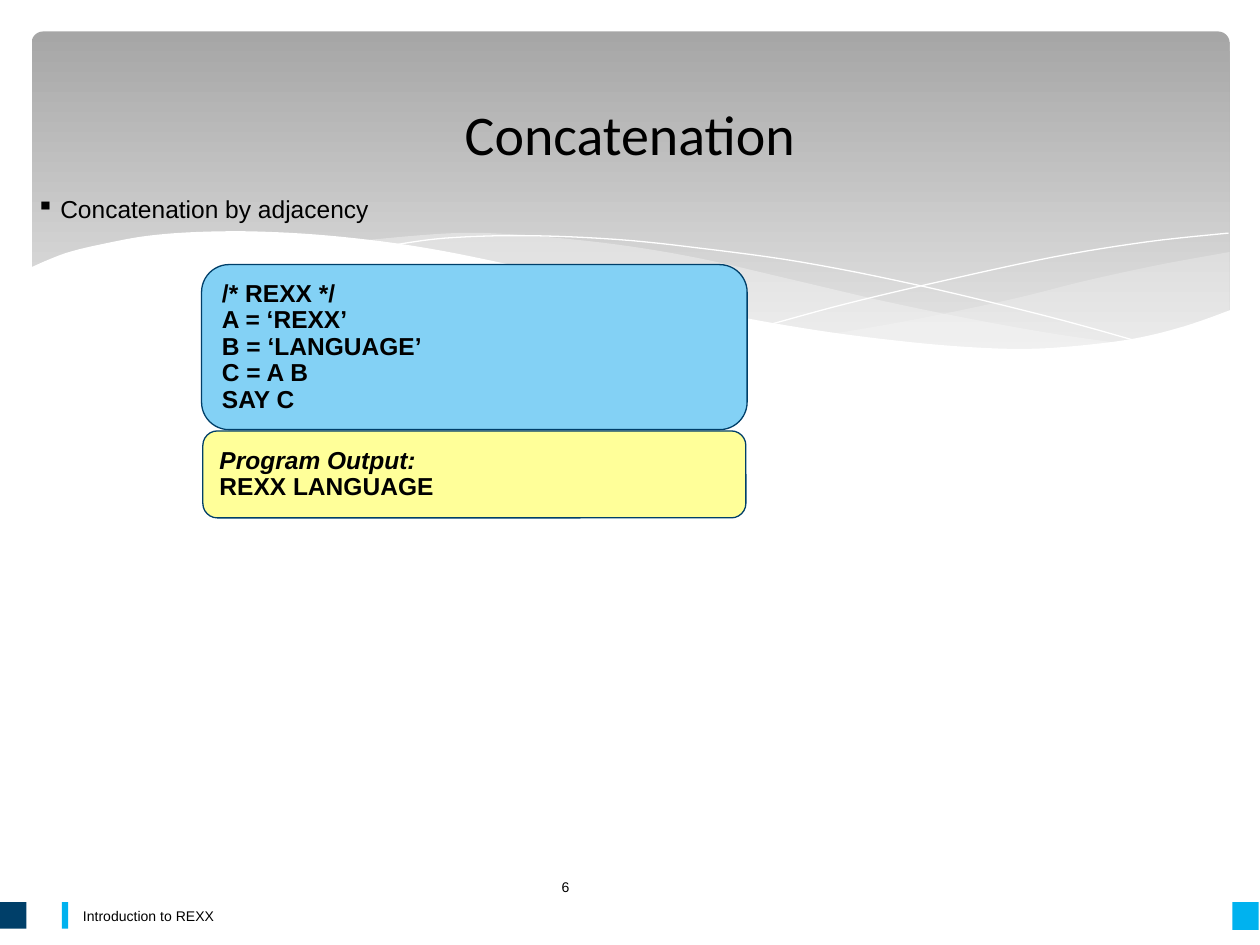
import lxml.etree
import pptx
import pptx.dml.color
import pptx.enum.shapes
import pptx.enum.text
import pptx.oxml.ns
import pptx.util

Inches = pptx.util.Inches
Pt = pptx.util.Pt
RGB = pptx.dml.color.RGBColor.from_string
SHAPE = pptx.enum.shapes.MSO_SHAPE
ANCHOR = pptx.enum.text.MSO_ANCHOR
ALIGN = pptx.enum.text.PP_ALIGN
qn = pptx.oxml.ns.qn

THEME = {
    "text": "000000", "white": "FFFFFF", "mist": "F8F8F8",
    "banner_top": "A6A6A6", "banner_bottom": "EBEBEB",
    "navy": "003F69", "cyan": "00B2EF", "code": "83D1F5", "output": "FFFF99",
    "title_font": "Calibri", "body_font": "Arial",
    "title_size": 32, "body_size": 14, "footer_size": 8,
}


def smooth(points, steps=6):
    """Return points along a Catmull-Rom curve through the given points."""
    padded = [points[0], *points, points[-1]]
    curve = [points[0]]
    for a, b, c, d in zip(padded, padded[1:], padded[2:], padded[3:]):
        for i in range(1, steps + 1):
            t = i / steps
            curve.append(tuple(
                (2 * q + (r - p) * t + (2 * p - 5 * q + 4 * r - w) * t ** 2
                 + (3 * q - p - 3 * r + w) * t ** 3) / 2
                for p, q, r, w in zip(a, b, c, d)))
    return curve


def write(sp, lines, size, font="body_font", anchor=ANCHOR.MIDDLE, **paragraph_format):
    """Fill a shape with (text, font format) lines."""
    tf = sp.text_frame
    tf.word_wrap = True
    tf.vertical_anchor = anchor
    for i, (text, font_format) in enumerate(lines):
        p = tf.paragraphs[0] if i == 0 else tf.add_paragraph()
        for name, value in paragraph_format.items():
            setattr(p, name, value)
        r = p.add_run()
        r.text = text
        r.font.color.rgb = RGB(THEME["text"])
        values = {"name": THEME[font], "size": Pt(THEME[size]), **font_format}
        for name, value in values.items():
            setattr(r.font, name, value)


prs = pptx.Presentation()
prs.slide_width, prs.slide_height = Inches(10), Inches(7.5)
s = prs.slides.add_slide(prs.slide_layouts[5])

# Banner with a grey gradient
sp = s.shapes.add_shape(SHAPE.ROUNDED_RECTANGLE, *map(Inches, (0.25, 0.25, 9.51, 2.7)))
sp.adjustments[0] = 0.034
sp.shadow.inherit = False
sp.fill.gradient()
sp.fill.gradient_angle = 270
for stop, color in zip(sp.fill.gradient_stops, ("banner_top", "banner_bottom")):
    stop.color.rgb = RGB(THEME[color])
sp.line.fill.background()

# Waves: outline, fill opacity in percent (None for an open line)
right_wave = (
    smooth([(9.76, 2), (9.21, 2.1), (8.61, 2.23), (8.05, 2.37), (7.29, 2.53), (6.61, 2.65)])
    + smooth([(6.61, 2.65), (7.05, 2.71), (7.57, 2.76), (8.14, 2.78), (8.63, 2.75),
              (9.05, 2.69), (9.42, 2.59), (9.76, 2.47)]))
middle_wave = (
    smooth([(8.93, 2.73), (8.37, 2.65), (7.75, 2.54), (7.06, 2.4), (6.29, 2.22),
            (5.55, 2.05), (4.89, 1.94), (4.2, 1.87), (3.61, 1.85), (2.86, 1.91)])
    + smooth([(2.86, 1.91), (3.42, 1.99), (4.04, 2.11), (4.91, 2.32), (5.66, 2.48),
              (6.34, 2.61), (6.95, 2.7), (7.61, 2.77), (8.18, 2.79), (8.93, 2.73)]))
long_line = smooth([(3.09, 1.95), (3.53, 1.89), (4.16, 1.87), (4.89, 1.9), (5.56, 1.97),
                    (6.36, 2.08), (7.27, 2.26), (8.31, 2.51), (9.07, 2.72)])
short_line = smooth([(6.13, 2.57), (6.72, 2.41), (7.48, 2.23), (8.36, 2.04),
                     (9.1, 1.92), (9.75, 1.85)])
front_wave = smooth([
    (9.77, 2.46), (9.4, 2.59), (8.99, 2.69), (8.5, 2.75), (8.09, 2.77), (7.61, 2.75),
    (7.08, 2.7), (6.47, 2.62), (5.79, 2.5), (5.03, 2.33), (4.18, 2.13), (3.39, 1.97),
    (2.71, 1.88), (2.11, 1.84), (1.61, 1.84), (1.19, 1.87), (0.85, 1.93), (0.52, 2.01),
    (0.23, 2.13)]) + [(0.23, 3.29), (9.77, 3.29)]

waves = s.shapes.add_group_shape()
for outline, color, opacity in [
    (right_wave, "mist", 29),
    (middle_wave, "mist", 40),
    (long_line, "white", None),
    (short_line, "white", None),
    (front_wave, "white", 100),
]:
    points = [(Inches(x), Inches(y)) for x, y in outline]
    builder = waves.shapes.build_freeform(*points[0])
    builder.add_line_segments(points[1:], close=opacity is not None)
    sp = builder.convert_to_shape()
    sp.shadow.inherit = False
    if opacity is None:
        sp.fill.background()
        sp.line.color.rgb = RGB(THEME[color])
        sp.line.width = Pt(0)
        continue
    sp.fill.solid()
    sp.fill.fore_color.rgb = RGB(THEME[color])
    sp.line.fill.background()
    if opacity < 100:
        srgb = sp.element.spPr.find(qn("a:solidFill")).find(qn("a:srgbClr"))
        lxml.etree.SubElement(srgb, qn("a:alpha"), val=str(opacity * 1000))

# Footer marks
for left, width, height, color in [
    (0, 0.21, 0.21, "navy"), (9.78, 0.21, 0.22, "cyan"), (0.49, 0.05, 0.21, "cyan"),
]:
    sp = s.shapes.add_shape(SHAPE.RECTANGLE, *map(Inches, (left, 7.16, width, height)))
    sp.shadow.inherit = False
    sp.fill.solid()
    sp.fill.fore_color.rgb = RGB(THEME[color])
    sp.line.fill.background()

# Footer text and page number
for box, text in [
    ((0.56, 7.14, 7.79, 0.26), "Introduction to REXX"),
    ((4.36, 6.84, 1.27, 0.4), "6"),
]:
    write(s.shapes.add_textbox(*map(Inches, box)), [(text, {})], "footer_size")

# Title, brought in front of the banner
title = s.shapes.title
title.left, title.top, title.width, title.height = map(Inches, (0.5, 0.37, 9, 1.37))
write(title, [("Concatenation", {})], "title_size", "title_font", alignment=ALIGN.CENTER)
title.element.getparent().append(title.element)

# Bullet
sp = s.shapes.add_textbox(*map(Inches, (0.19, 1.49, 9.5, 3.23)))
pPr = sp.text_frame.paragraphs[0]._p.get_or_add_pPr()
pPr.set("marL", str(Inches(0.19)))
pPr.set("indent", str(Inches(-0.19)))
lxml.etree.SubElement(pPr, qn("a:buChar"), char="▪")
write(sp, [("Concatenation by adjacency", {})], "body_size", anchor=ANCHOR.TOP)

# Program and its output
bold = {"bold": True}
code = ["/* REXX */", "A = ‘REXX’", "B = ‘LANGUAGE’", "C = A B", "SAY C"]
output = [("Program Output:", {"bold": True, "italic": True}), ("REXX LANGUAGE", bold)]
for box, color, lines in [
    ((1.6, 2.1, 4.33, 1.31), "code", [(text, bold) for text in code]),
    ((1.61, 3.42, 4.31, 0.69), "output", output),
]:
    sp = s.shapes.add_shape(SHAPE.FLOWCHART_ALTERNATE_PROCESS, *map(Inches, box))
    sp.shadow.inherit = False
    sp.fill.solid()
    sp.fill.fore_color.rgb = RGB(THEME[color])
    sp.line.color.rgb = RGB(THEME["navy"])
    sp.line.width = Pt(0.75)
    write(sp, lines, "body_size", alignment=ALIGN.LEFT, line_spacing=0.9)

prs.save("out.pptx")
